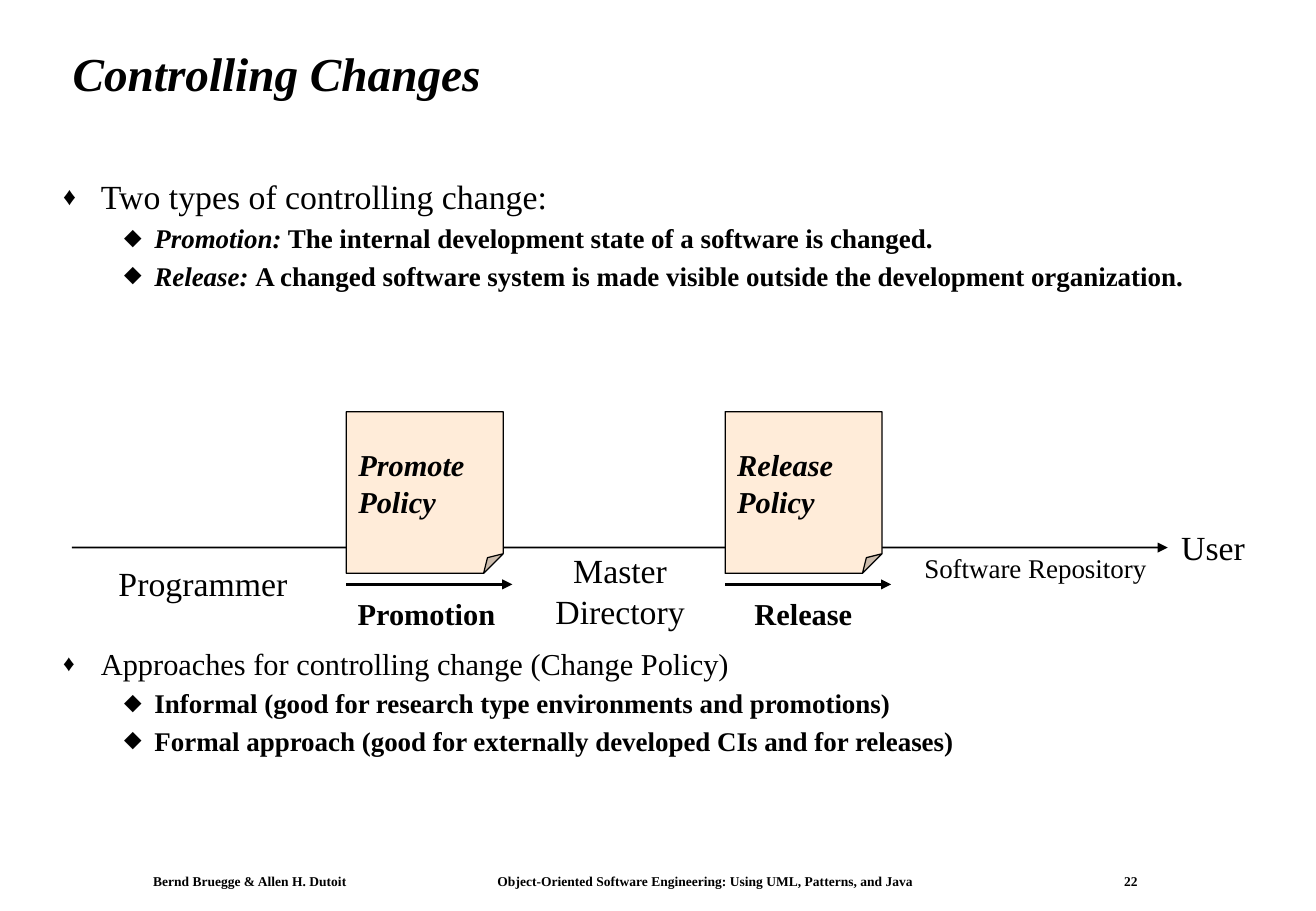
from dataclasses import dataclass
from lxml.etree import SubElement
from pptx import Presentation
from pptx.dml.color import RGBColor
from pptx.enum.shapes import MSO_CONNECTOR, MSO_SHAPE
from pptx.enum.text import MSO_ANCHOR, PP_ALIGN
from pptx.oxml.ns import qn
from pptx.util import Cm, Pt


@dataclass(frozen=True)
class Theme:
    font: str = "Times New Roman"
    ink: RGBColor = RGBColor(0x00, 0x00, 0x00)
    note: RGBColor = RGBColor(0xFF, 0xEC, 0xD9)
    title: int = 28
    large: int = 20
    medium: int = 18
    small: int = 16
    footer: int = 8


theme = Theme()


def add_text(p, text, size, bold=False, italic=False):
    r = p.add_run()
    r.text = text
    r.font.name = theme.font
    r.font.size = Pt(size)
    r.font.bold = bold
    r.font.italic = italic
    r.font.color.rgb = theme.ink


def add_line(s, x1, x2, y, width):
    """Add a horizontal arrow pointing right, without a shadow."""
    line = s.shapes.add_connector(MSO_CONNECTOR.STRAIGHT, Cm(x1), Cm(y), Cm(x2), Cm(y))
    line.line.color.rgb = theme.ink
    line.line.width = Pt(width)
    SubElement(line._element.spPr.find(qn("a:ln")), qn("a:tailEnd"), type="triangle")
    SubElement(line._element.spPr, qn("a:effectLst"))
    return line


prs = Presentation()
prs.slide_width, prs.slide_height = Cm(27.51), Cm(19.05)
s = prs.slides.add_slide(prs.slide_layouts[6])

# Footer: three columns on tab stops
tf = s.shapes.add_textbox(Cm(3), Cm(18.16), Cm(22), Cm(0.53)).text_frame
tf.word_wrap = True
tf.margin_left = tf.margin_right = Cm(0.2)
tf.margin_top = tf.margin_bottom = Cm(0.1)
p = tf.paragraphs[0]
tabs = SubElement(p._p.get_or_add_pPr(), qn("a:tabLst"))
for stop in (7.2, 20.3):
    SubElement(tabs, qn("a:tab"), pos=str(Cm(stop)), algn="l")
add_text(p, "Bernd Bruegge & Allen H. Dutoit\tObject-Oriented Software Engineering: "
            "Using UML, Patterns, and Java\t22", theme.footer, bold=True)

# Title
tf = s.shapes.add_textbox(Cm(1.27), Cm(0.61), Cm(24.54), Cm(1.96)).text_frame
tf.word_wrap = True
tf.vertical_anchor = MSO_ANCHOR.MIDDLE
p = tf.paragraphs[0]
p.line_spacing = 0.9
add_text(p, "Controlling Changes", theme.title, bold=True, italic=True)

# Bullet lists: top, heading size, heading, items of (italic lead, text)
lists = [
    (3.65, theme.large, "Two types of controlling change:", [
        ("Promotion:", " The internal development state of a software is changed."),
        ("Release: ", "A changed software system is made visible outside "
                      "the development organization."),
    ]),
    (13.45, theme.medium, "Approaches for controlling change (Change Policy)", [
        ("", "Informal (good for research type environments and promotions)"),
        ("", "Formal approach (good for externally developed CIs and for releases)"),
    ]),
]
for top, heading_size, heading, items in lists:
    tf = s.shapes.add_textbox(Cm(1.07), Cm(top), Cm(24.84), Cm(2.9)).text_frame
    tf.word_wrap = True
    for i, (lead, text) in enumerate([("", heading)] + items):
        p = tf.paragraphs[0] if i == 0 else tf.add_paragraph()
        level, margin, hang, mark, scale = (
            (1, 1.91, 0.64, "⬥", 100) if i else (0, 0.79, 0.79, "♦", 75))
        p.level = level
        p.line_spacing = 0.9
        if i:
            p.space_before = Pt(5)
        pPr = p._p.get_or_add_pPr()
        pPr.set("marL", str(Cm(margin)))
        pPr.set("indent", str(-Cm(hang)))
        SubElement(pPr, qn("a:buSzPct"), val=str(scale * 1000))
        SubElement(pPr, qn("a:buFont"), typeface=theme.font)
        SubElement(pPr, qn("a:buChar"), char=mark)
        if lead:
            add_text(p, lead, theme.small, bold=True, italic=True)
        add_text(p, text, theme.small if i else heading_size, bold=level == 1)

# Diagram labels: left, top, width, height, size, bold, lines
labels = [
    (7.24, 12.34, 3.35, 0.99, theme.medium, True, ["Promotion"]),
    (15.54, 12.34, 2.51, 0.99, theme.medium, True, ["Release"]),
    (19.08, 11.43, 5.13, 0.91, theme.small, False, ["Software Repository"]),
    (1.5, 11.66, 5.49, 1.06, theme.large, False, ["Programmer"]),
    (10.21, 11.4, 5.51, 1.93, theme.large, False, ["Master", "Directory"]),
    (24.41, 10.92, 1.9, 1.06, theme.large, False, ["User"]),
]
for left, top, width, height, size, bold, lines in labels:
    label = s.shapes.add_textbox(Cm(left), Cm(top), Cm(width), Cm(height))
    tf = label.text_frame
    tf.word_wrap = False
    tf.margin_left = tf.margin_right = Cm(0.23)
    tf.margin_top = tf.margin_bottom = Cm(0.1)
    for i, text in enumerate(lines):
        p = tf.paragraphs[0] if i == 0 else tf.add_paragraph()
        p.alignment = PP_ALIGN.CENTER
        add_text(p, text, size, bold)
user = label

# Flow from programmer to user, behind the policy notes
flow = add_line(s, 1.5, 24.41, 11.45, 1)
flow.end_connect(user, 1)

# Policy notes, each with its arrow below
for left, name in ((7.24, "Promote"), (15.16, "Release")):
    add_line(s, left, left + 3.47, 12.22, 2)
    note = s.shapes.add_shape(MSO_SHAPE.FOLDED_CORNER, Cm(left), Cm(8.61), Cm(3.28), Cm(3.38))
    fold = note._element.spPr.find(qn("a:prstGeom")).find(qn("a:avLst"))
    SubElement(fold, qn("a:gd"), name="adj", fmla="val 12500")
    note.shadow.inherit = False
    note.fill.solid()
    note.fill.fore_color.rgb = theme.note
    note.line.color.rgb = theme.ink
    note.line.width = Pt(0.75)
    tf = note.text_frame
    tf.word_wrap = True
    tf.vertical_anchor = MSO_ANCHOR.MIDDLE
    for i, text in enumerate((name, "Policy")):
        p = tf.paragraphs[0] if i == 0 else tf.add_paragraph()
        p.alignment = PP_ALIGN.LEFT
        add_text(p, text, theme.medium, bold=True, italic=True)

prs.save("out.pptx")
